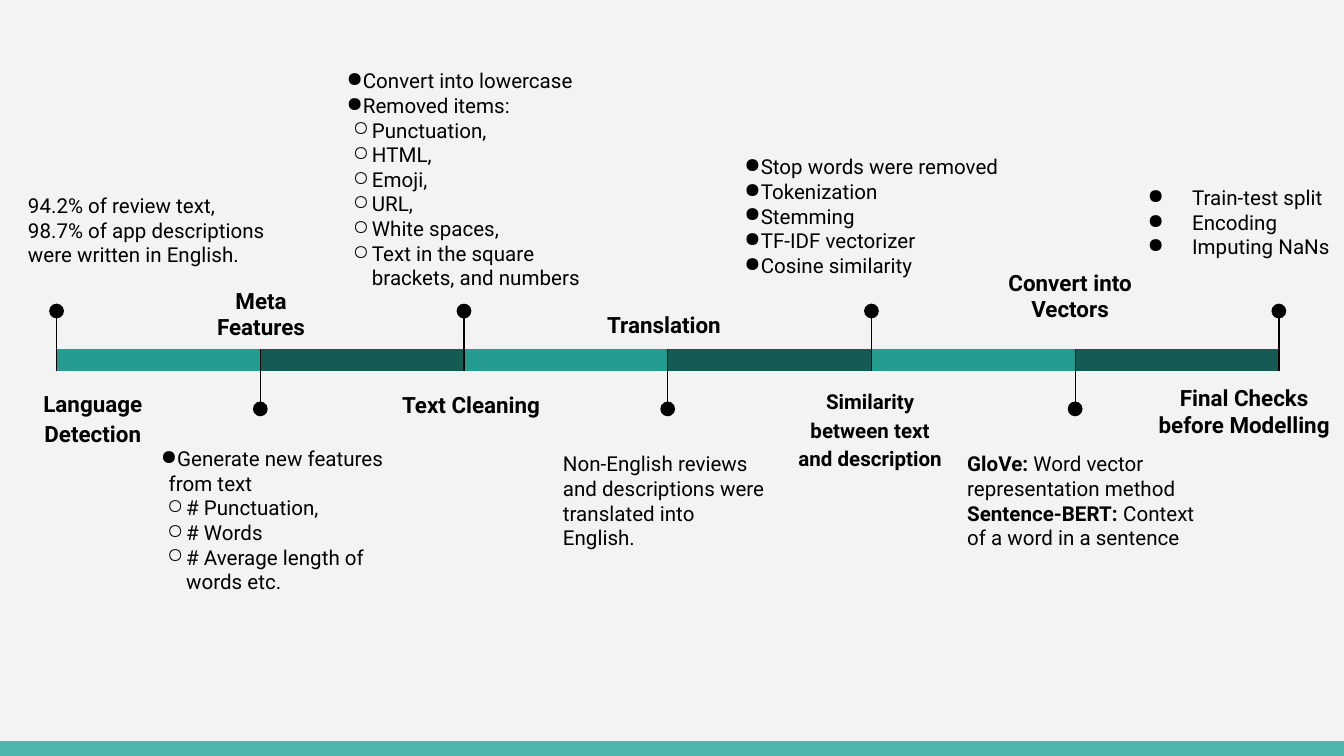
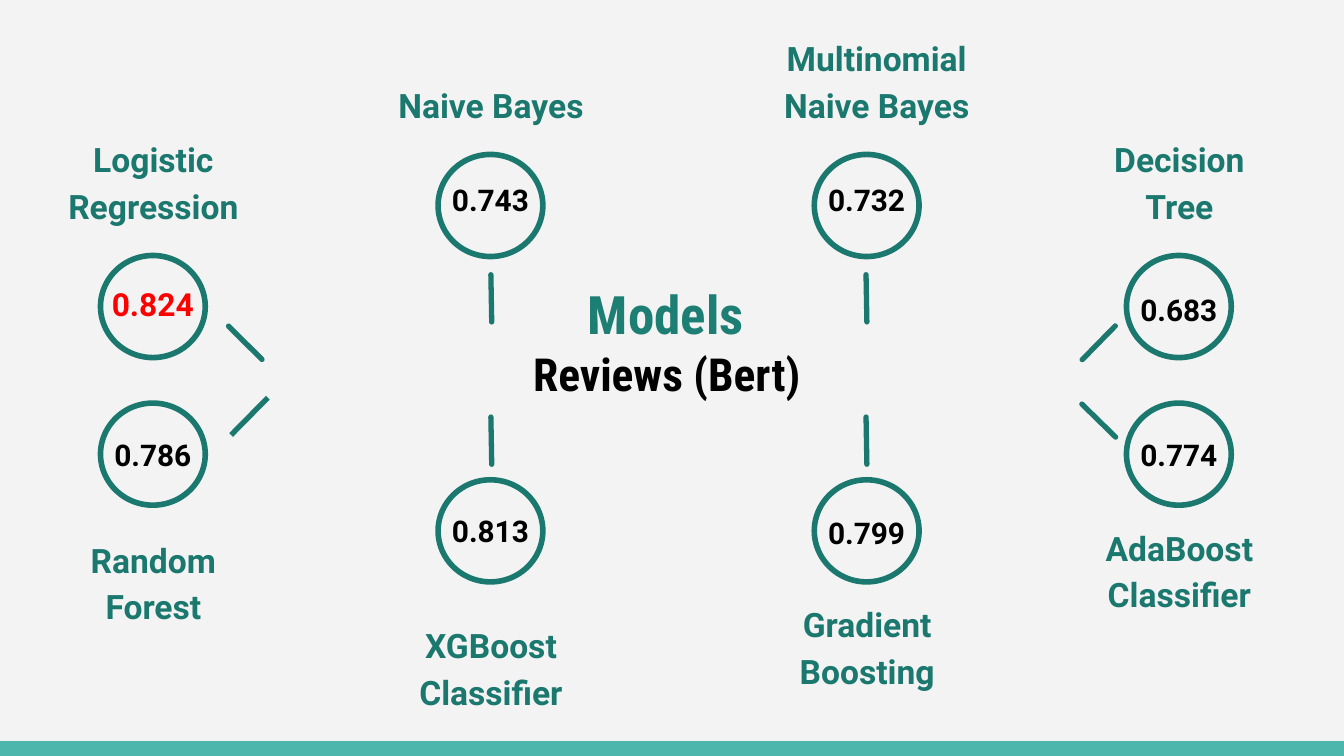
from lxml.etree import SubElement
from pptx import Presentation
from pptx.dml.color import RGBColor
from pptx.enum.shapes import MSO_CONNECTOR as Connector, MSO_SHAPE as Preset
from pptx.enum.text import MSO_ANCHOR as Anchor, MSO_AUTO_SIZE as AutoSize, PP_ALIGN as Align
from pptx.oxml.ns import qn
from pptx.util import Cm, Pt

BACKGROUND, BAND = "F3F3F3", "4DB6AC"
LIGHT_TEAL, DARK_TEAL, TEAL, TITLE_TEAL = "249C90", "155B54", "1B786E", "1D7E74"
BLACK, RED = "000000", "FF0000"
BODY_FONT, TITLE_FONT = "Roboto", "Roboto Condensed"

SLIDE_WIDTH, SLIDE_HEIGHT, BAND_HEIGHT = 25.4, 14.29, 0.28
TIMELINE_LEFT, STAGE_WIDTH, STAGE_COUNT = 1.07, 3.85, 6
BAR_TOP, BAR_HEIGHT = 6.6, 0.41
PIN_TOP, PIN_BOTTOM, DOT = 5.88, 7.73, 0.28
CIRCLE_WIDTH, CIRCLE_HEIGHT = 1.98, 1.93
SCORE_WIDTH, SCORE_HEIGHT = 2.16, 1.27
LABEL_WIDTH, LABEL_INSET = 4.34, 1.17
TICK_LENGTH, TICK_THICKNESS = 0.99, 0.1

NESTED_INDENTS = ((0.15, -0.36), (0.48, -0.36))

HEADINGS = [
    ("Language Detection", (0.08, 7.04, 3.35, 1.14), {"spacing": 1.15}),
    ("Meta Features", (3.5, 5.17, 2.87, 1.8), {}),
    ("Text Cleaning", (7.19, 7.14, 3.43, 1.02), {}),
    ("Translation", (11, 5.56, 3.1, 1.02), {"spacing": 1.15}),
    ("Similarity between text and description", (14.73, 7.04, 3.43, 2.06),
     {"size": 11, "spacing": 1.15}),
    ("Convert into Vectors", (18.03, 4.83, 4.39, 1.55), {}),
    ("Final Checks before Modelling", (21.51, 7.01, 4.01, 1.55), {}),
]

DETAILS = [
    (["94.2% of review text,", "98.7% of app descriptions were written in English."],
     (0.28, 3.4, 5, 2.92), {}),
    (["Generate new features from text",
      ["# Punctuation,", "# Words", "# Average length of words etc."]],
     (2.79, 8.18, 5, 4.93), {"indents": NESTED_INDENTS}),
    (["Convert into lowercase", "Removed items:",
      ["Punctuation,", "HTML,", "Emoji,", "URL,", "White spaces,",
       "Text in the square brackets, and numbers"]],
     (6.3, 1.04, 5.66, 4.98), {"indents": NESTED_INDENTS}),
    (["Non-English reviews and descriptions were translated into English."],
     (10.39, 8.28, 4.39, 2.39), {}),
    (["Stop words were removed", "Tokenization", "Stemming", "TF-IDF vectorizer",
      "Cosine similarity"],
     (13.82, 2.67, 5.66, 2.87), {"indents": ((0.3, -0.51),)}),
    (["GloVe: Word vector representation method",
      "Sentence-BERT: Context of a word in a sentence"],
     (18.03, 8.28, 4.85, 2.39), {"bold_lead": True}),
    (["Train-test split", "Encoding", "Imputing NaNs"],
     (21.01, 3.25, 4.39, 2.06), {"indents": ((1.27, -0.84),)}),
]

OUTER_LEFT, INNER_LEFT, INNER_RIGHT, OUTER_RIGHT = 1.9, 8.28, 15.39, 21.29
TOP_ROW, UPPER_ROW, LOWER_ROW, BOTTOM_ROW = 2.92, 4.83, 7.62, 9.07

MODELS = [
    ("Naive Bayes", "0.743", INNER_LEFT, TOP_ROW, 3.18, (0.76, 1.85), {}),
    ("Random Forest", "0.786", OUTER_LEFT, LOWER_ROW, 8, (9.55, 2.54), {}),
    ("XGBoost Classifier", "0.813", INNER_LEFT, BOTTOM_ROW, 9.45, (11.4, 2.31), {}),
    ("Gradient Boosting", "0.799", INNER_RIGHT, BOTTOM_ROW, 9.47, (11, 2.31), {}),
    ("AdaBoost Classifier", "0.774", OUTER_RIGHT, LOWER_ROW, 8, (9.55, 2.31), {}),
    ("Logistic Regression", "0.824", OUTER_LEFT, UPPER_ROW, 5.13, (2.67, 1.85),
     {"size": 17, "color": RED}),
    ("Multinomial Naive Bayes", "0.732", INNER_RIGHT, TOP_ROW, 3.18, (0.76, 1.85), {}),
    ("Decision Tree", "0.683", OUTER_RIGHT, UPPER_ROW, 5.26, (2.67, 1.85), {}),
]
WIDE_LABELS = {"Multinomial Naive Bayes": 4.7}

TICKS = [(4.14, 6.43, 44.9, 0.5), (4.22, 7.82, 314.6, 0),
         (20.27, 6.43, 134.4, 0.5), (20.27, 7.9, 224.4, 0.5)]
TICKS += [(left, top, 89, 0.5) for left in (8.79, 15.88) for top in (5.59, 8.28)]


def rgb(hex_color):
    """Turn a hex string into a colour."""
    return RGBColor.from_string(hex_color)


def add_preset(slide, preset, box, fill=None, outline=None, weight=3):
    """Add a preset shape with a plain fill or outline."""
    shape = slide.shapes.add_shape(preset, *map(Cm, box))
    shape.shadow.inherit = False
    if fill:
        shape.fill.solid()
        shape.fill.fore_color.rgb = rgb(fill)
    else:
        shape.fill.background()
    if outline:
        shape.line.color.rgb = rgb(outline)
        shape.line.width = Pt(weight)
    else:
        shape.line.fill.background()
    return shape


def set_bullet(paragraph, level, indent):
    """Give a paragraph its bullet and hanging indent."""
    paragraph.level = level
    props = paragraph._p.get_or_add_pPr()
    margin, hanging = indent
    props.set("marL", str(Cm(margin)))
    props.set("indent", str(Cm(hanging)))
    bullet_color = SubElement(props, qn("a:buClr"))
    SubElement(bullet_color, qn("a:srgbClr")).set("val", BLACK)
    SubElement(props, qn("a:buChar")).set("char", "●○"[level])


def add_run(paragraph, text, size, color, bold, font):
    """Append one formatted run."""
    run = paragraph.add_run()
    run.text = text
    run.font.name = font
    run.font.size = Pt(size)
    run.font.bold = bold
    run.font.color.rgb = rgb(color)


def prepare_frame(frame, anchor=Anchor.TOP):
    """Set wrapping, anchor and insets of a text frame."""
    frame.word_wrap = True
    frame.auto_size = AutoSize.NONE
    frame.vertical_anchor = anchor
    frame.margin_left = frame.margin_right = Cm(0.25)
    frame.margin_top = frame.margin_bottom = Cm(0.25)


def add_text(slide, lines, box, size=11, color=BLACK, bold=False, align=Align.LEFT,
             spacing=None, anchor=Anchor.TOP, indents=None, bold_lead=False):
    """Add a text box; an inner list of lines is one level deeper."""
    frame = slide.shapes.add_textbox(*map(Cm, box)).text_frame
    prepare_frame(frame, anchor)
    leveled = []
    for line in lines:
        leveled += [(line, 0)] if isinstance(line, str) else [(sub, 1) for sub in line]
    for index, (line, level) in enumerate(leveled):
        paragraph = frame.add_paragraph() if index else frame.paragraphs[0]
        paragraph.alignment = align
        if spacing:
            paragraph.line_spacing = spacing
        if indents:
            set_bullet(paragraph, level, indents[level])
        if bold_lead:
            lead, colon, line = line.partition(":")
            add_run(paragraph, lead + colon, size, color, True, BODY_FONT)
        add_run(paragraph, line, size, color, bold, BODY_FONT)


def add_pin(slide, x, upward):
    """Add a dot and its stem at a stage boundary."""
    dot_y = PIN_TOP if upward else PIN_BOTTOM
    bar_y = BAR_TOP + BAR_HEIGHT if upward else BAR_TOP
    stem = slide.shapes.add_connector(
        Connector.STRAIGHT, Cm(x), Cm(dot_y), Cm(x), Cm(bar_y))
    stem.line.color.rgb = rgb(BLACK)
    stem.line.width = Pt(0.75)
    SubElement(stem._element.spPr, qn("a:effectLst"))
    add_preset(slide, Preset.OVAL, (x - DOT / 2, dot_y - DOT / 2, DOT, DOT), BLACK)


def add_model(slide, name, score, left, top, score_top, label_span, score_format):
    """Add a model's circle, score and label."""
    add_preset(slide, Preset.OVAL, (left, top, CIRCLE_WIDTH, CIRCLE_HEIGHT), outline=TEAL)
    label_top, label_height = label_span
    label_box = (left - LABEL_INSET, label_top,
                 WIDE_LABELS.get(name, LABEL_WIDTH), label_height)
    add_text(slide, [name], label_box, size=18, color=TEAL, bold=True,
             align=Align.CENTER, spacing=1.15, anchor=Anchor.BOTTOM)
    score_left = left + (CIRCLE_WIDTH - SCORE_WIDTH) / 2
    add_text(slide, [score], (score_left, score_top, SCORE_WIDTH, SCORE_HEIGHT),
             **({"size": 16, "bold": True, "align": Align.CENTER} | score_format))


def add_tick(slide, left, top, angle, roundness):
    """Add a short rotated stroke pointing to a model."""
    tick = add_preset(slide, Preset.ROUNDED_RECTANGLE,
                      (left, top, TICK_LENGTH, TICK_THICKNESS), TEAL)
    tick.adjustments[0] = roundness
    tick.rotation = angle


def set_title(slide):
    """Place and write the two-line title."""
    title = slide.shapes.title
    title.left, title.top, title.width, title.height = map(Cm, (5.08, 5.08, 15.24, 2.54))
    frame = title.text_frame
    prepare_frame(frame)
    heading, subject = frame.paragraphs[0], frame.add_paragraph()
    heading.alignment = subject.alignment = Align.CENTER
    add_run(heading, "Models ", 28.4, TITLE_TEAL, True, TITLE_FONT)
    add_run(subject, "Reviews (Bert) ", 24.4, BLACK, True, TITLE_FONT)


def style_master(master, slide):
    """Give the master its background and bottom band."""
    master.background.fill.solid()
    master.background.fill.fore_color.rgb = rgb(BACKGROUND)
    band = add_preset(slide, Preset.RECTANGLE,
                      (0, SLIDE_HEIGHT - BAND_HEIGHT, SLIDE_WIDTH, BAND_HEIGHT), BAND)
    band.element.nvSpPr.cNvPr.set("id", "99")
    master.element.cSld.spTree.append(band.element)


def build_timeline(slide):
    """Draw the preprocessing timeline."""
    boundaries = [TIMELINE_LEFT + STAGE_WIDTH * i for i in range(STAGE_COUNT + 1)]
    for index, x in enumerate(boundaries[:-1]):
        add_preset(slide, Preset.RECTANGLE, (x, BAR_TOP, STAGE_WIDTH, BAR_HEIGHT),
                   DARK_TEAL if index % 2 else LIGHT_TEAL)
    for index, x in enumerate(boundaries):
        add_pin(slide, x, upward=index % 2 == 0)
    for heading, box, options in HEADINGS:
        add_text(slide, [heading], box,
                 **({"size": 12, "bold": True, "align": Align.CENTER} | options))
    for lines, box, options in DETAILS:
        add_text(slide, lines, box, **options)


def build_models(slide):
    """Draw the model scores around the title."""
    set_title(slide)
    for model in MODELS:
        add_model(slide, *model)
    for tick in TICKS:
        add_tick(slide, *tick)


def main():
    """Build and save the presentation."""
    deck = Presentation()
    deck.slide_width, deck.slide_height = Cm(SLIDE_WIDTH), Cm(SLIDE_HEIGHT)
    title_only, blank = deck.slide_layouts[5], deck.slide_layouts[6]
    timeline = deck.slides.add_slide(blank)
    style_master(deck.slide_master, timeline)
    build_timeline(timeline)
    build_models(deck.slides.add_slide(title_only))
    deck.save("out.pptx")


if __name__ == "__main__":
    main()
